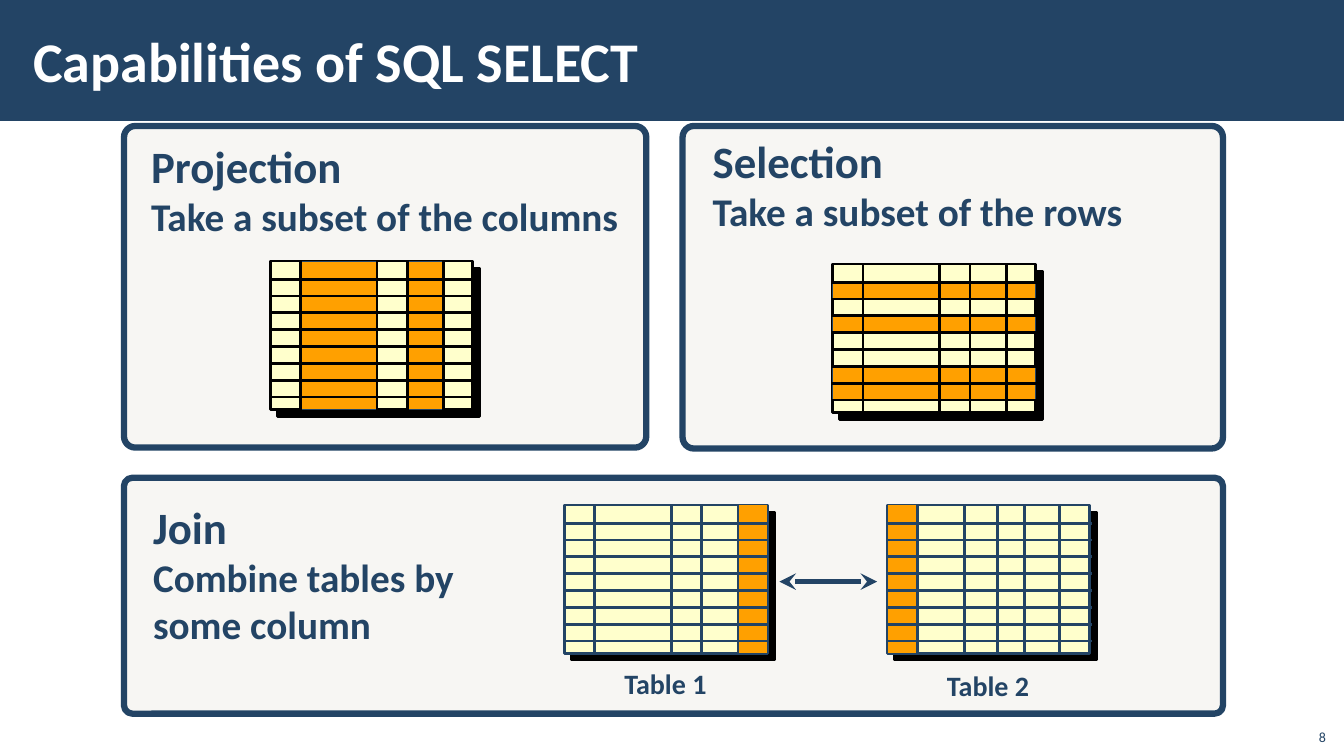
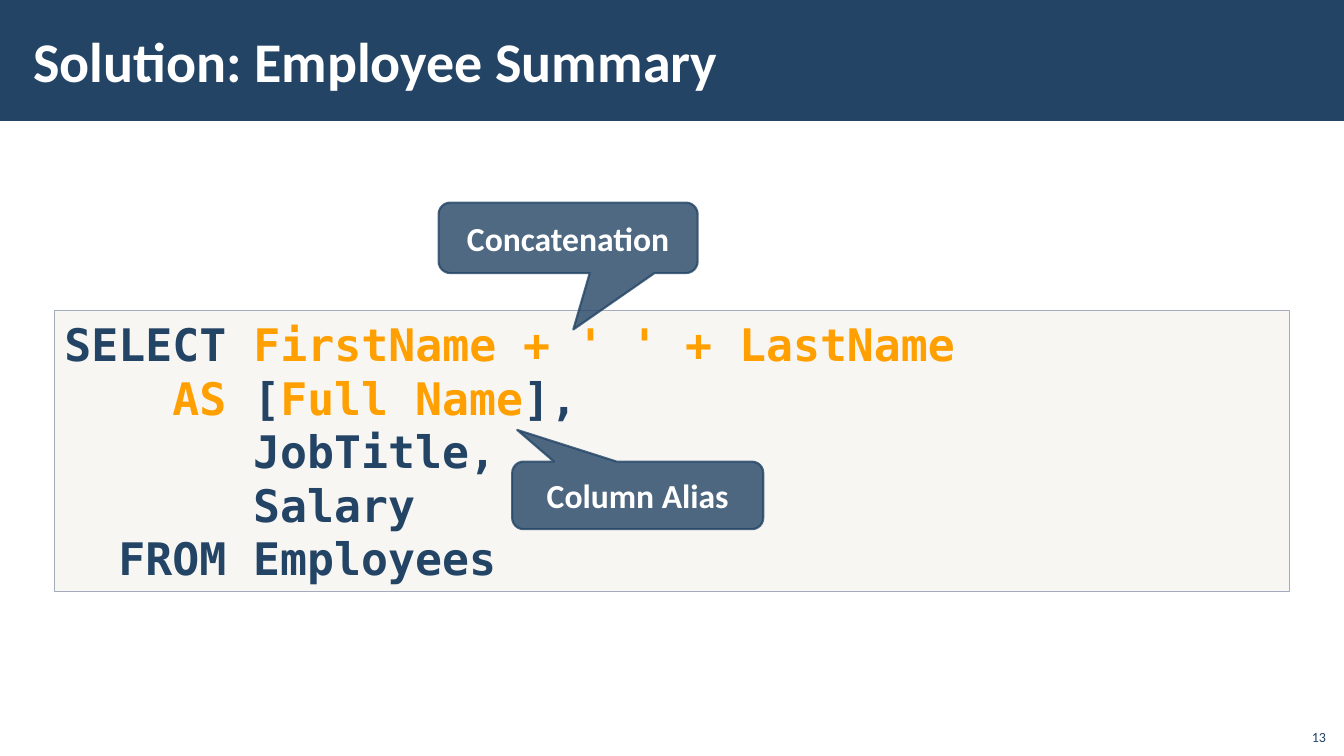
from lxml.etree import SubElement
from pptx import Presentation
from pptx.dml.color import RGBColor
from pptx.enum.shapes import MSO_CONNECTOR, MSO_SHAPE
from pptx.enum.text import MSO_ANCHOR, PP_ALIGN
from pptx.oxml.ns import qn
from pptx.util import Inches, Pt

NAVY = RGBColor(0x23, 0x44, 0x65)
WHITE = RGBColor(0xFF, 0xFF, 0xFF)
BLACK = RGBColor(0, 0, 0)
SAND = RGBColor(0xD9, 0xD5, 0xC7)
CREAM = RGBColor(0xFF, 0xFF, 0xCC)
AMBER = RGBColor(0xFF, 0xA0, 0x00)
GREY = RGBColor(0xA3, 0xAB, 0xBC)

SANS = "Calibri"
MONO = "DejaVu Sans Mono"
CHAR = 0.2675  # width of one code character at 32 points

GRID_W, GRID_H = 2.01, 1.47
ROW_TOP, ROW_STEP, ROWS = 0.18, 0.167, 9
COLS = [0.3, 1.06, 1.36, 1.72]
COLS_TWO = [0.3, 0.77, 1.09, 1.36, 1.71]


def box_of(x, y, w, h):
    return Inches(x), Inches(y), Inches(w), Inches(h)


def fade(part, percent):
    """Make every colour inside the fill or line partly transparent."""
    for color in part.iter(qn("a:srgbClr")):
        SubElement(color, qn("a:alpha"), val=str(percent * 1000))


def add_block(slide, kind, box, fill, line=None, width=1):
    shape = slide.shapes.add_shape(kind, *box_of(*box))
    shape.shadow.inherit = False
    shape.fill.solid()
    shape.fill.fore_color.rgb = fill
    if line is None:
        shape.line.fill.background()
    else:
        shape.line.color.rgb = line
        shape.line.width = Pt(width)
    return shape


def add_line(slide, x1, y1, x2, y2, color, width):
    line = slide.shapes.add_connector(
        MSO_CONNECTOR.STRAIGHT, Inches(x1), Inches(y1), Inches(x2), Inches(y2))
    line.line.color.rgb = color
    line.line.width = Pt(width)
    SubElement(line.element.spPr, qn("a:effectLst"))
    return line


def set_font(item, size, color, bold=True, name=SANS):
    font = item.font
    font.name, font.size, font.bold = name, Pt(size), bold
    font.color.rgb = color


def write(frame, lines, color=NAVY, align=PP_ALIGN.LEFT, bold=True):
    """Fill the frame with one paragraph for each (text, size)."""
    frame.word_wrap = True
    for i, (text, size) in enumerate(lines):
        para = frame.add_paragraph() if i else frame.paragraphs[0]
        para.text = text
        para.alignment = align
        set_font(para, size, color, bold)


def add_text(slide, box, lines, anchor=MSO_ANCHOR.TOP, **style):
    frame = slide.shapes.add_textbox(*box_of(*box)).text_frame
    frame.vertical_anchor = anchor
    write(frame, lines, **style)
    return frame


def add_page(deck, title, number):
    """Add a slide with its title band and page number."""
    slide = deck.slides.add_slide(deck.slide_layouts[6])
    add_block(slide, MSO_SHAPE.RECTANGLE, (0, 0, 13.34, 1.2), NAVY)
    frame = add_text(slide, (0.21, 0.11, 10.63, 0.97), [(title, 40)],
                     MSO_ANCHOR.MIDDLE, color=WHITE)
    frame.margin_left = frame.margin_right = Inches(0.12)
    frame.margin_top = frame.margin_bottom = Inches(0.04)
    add_text(slide, (12.85, 7.12, 0.4, 0.32), [(str(number), 10)],
             MSO_ANCHOR.BOTTOM, align=PP_ALIGN.RIGHT, bold=False)
    return slide


def add_panel(slide, box, shift, width, head, *body):
    """Draw a rounded panel with its text shifted from the corner."""
    panel = add_block(slide, MSO_SHAPE.ROUNDED_RECTANGLE, box, SAND, NAVY, 4.5)
    panel.adjustments[0] = 0.035
    fade(panel.element.spPr.find(qn("a:solidFill")), 20)
    lines = [(head, 32)] + [(text, 28) for text in body]
    place = (box[0] + shift[0], box[1] + shift[1], width, 0.1 + 0.5 * len(lines))
    add_text(slide, place, lines)


def add_grid(slide, x, y, cols, ink, pick_cols=(), pick_rows=()):
    """Draw a small table sketch with some columns or rows picked out."""
    base = add_block(slide, MSO_SHAPE.RECTANGLE, (x, y, GRID_W, GRID_H),
                     CREAM, ink, 2)
    effects = base.element.spPr.find(qn("a:effectLst"))
    shade = SubElement(effects, qn("a:outerShdw"), dist=str(Pt(7.1)),
                       dir="2700000", algn="ctr", rotWithShape="0")
    SubElement(shade, qn("a:srgbClr"), val=str(BLACK))

    rows = [ROW_TOP + ROW_STEP * i for i in range(ROWS - 1)]
    x_ends = [0, *cols, GRID_W]
    y_ends = [0, *rows, GRID_H]
    bands = [(x + x_ends[i], y, x_ends[i + 1] - x_ends[i], GRID_H)
             for i in pick_cols]
    bands += [(x, y + y_ends[i], GRID_W, y_ends[i + 1] - y_ends[i])
              for i in pick_rows]
    for band in bands:
        add_block(slide, MSO_SHAPE.RECTANGLE, band, AMBER, NAVY, 0.75)

    for dx in cols:
        add_line(slide, x + dx, y - 0.01, x + dx, y + GRID_H + 0.02, ink, 2)
    for dy in rows:
        add_line(slide, x - 0.01, y + dy, x + GRID_W + 0.02, y + dy, ink, 2)


def add_join(slide, x, y):
    """Draw two named grids with a double arrow between them."""
    gap = 3.2
    add_grid(slide, x, y, COLS, NAVY, pick_cols=[4])
    add_grid(slide, x + gap, y, COLS_TWO, NAVY, pick_cols=[0])
    arrow = add_line(slide, x + 2.13, y + 0.76, x + 3.1, y + 0.76, NAVY, 4)
    stroke = arrow.line._get_or_add_ln()
    for end in ("a:headEnd", "a:tailEnd"):
        SubElement(stroke, qn(end), type="stealth")
    for i in range(2):
        add_text(slide, (x + gap * i, y + 1.55 + 0.02 * i, 2, 0.44),
                 [(f"Table {i + 1}", 20)], align=PP_ALIGN.CENTER)


def add_code(slide, box, lines):
    """Write code lines, each given as (indent, [(text, color), ...])."""
    block = add_block(slide, MSO_SHAPE.RECTANGLE, box, SAND, GREY, 1)
    fade(block.element.spPr.find(qn("a:solidFill")), 20)
    frame = block.text_frame
    frame.word_wrap = True
    for i, (indent, parts) in enumerate(lines):
        para = frame.add_paragraph() if i else frame.paragraphs[0]
        para.alignment = PP_ALIGN.LEFT
        para.line_spacing = Pt(38.2)
        props = para._p.get_or_add_pPr()
        props.set("marL", str(Inches(indent * CHAR)))
        props.set("indent", "0")
        for text, color in parts:
            run = para.add_run()
            run.text = text
            set_font(run, 32, color, name=MONO)


def add_callout(slide, box, text, tip):
    shape = add_block(slide, MSO_SHAPE.ROUNDED_RECTANGULAR_CALLOUT, box,
                      NAVY, NAVY, 1.5)
    shape.adjustments[0], shape.adjustments[1] = tip
    fade(shape.element.spPr, 80)
    shape.text_frame.vertical_anchor = MSO_ANCHOR.MIDDLE
    write(shape.text_frame, [(text, 24)], WHITE, PP_ALIGN.CENTER)


def build_select(deck):
    slide = add_page(deck, "Capabilities of SQL SELECT", 8)
    add_panel(slide, (6.77, 1.25, 5.36, 3.2), (0.2, 0.03), 4.9,
              "Selection", "Take a subset of the rows")
    add_grid(slide, 8.26, 2.62, COLS, BLACK, pick_rows=[1, 3, 6, 7])
    add_panel(slide, (1.23, 1.25, 5.18, 3.19), (0.17, 0.08), 5,
              "Projection", "Take a subset of the columns")
    add_grid(slide, 2.68, 2.59, COLS, BLACK, pick_cols=[1, 3])
    add_panel(slide, (1.23, 4.74, 10.9, 2.34), (0.19, 0.17), 3.6,
              "Join", "Combine tables by", "some column")
    add_join(slide, 5.6, 5.01)


def build_answer(deck):
    slide = add_page(deck, "Solution: Employee Summary", 13)
    add_code(slide, (0.54, 3.08, 12.25, 2.79), [
        (0, [("SELECT", NAVY), (" FirstName + ' ' + LastName", AMBER)]),
        (4, [("AS ", AMBER), ("[", NAVY), ("Full Name", AMBER), ("],", NAVY)]),
        (7, [("JobTitle,", NAVY)]),
        (7, [("Salary", NAVY)]),
        (2, [("FROM Employees", NAVY)]),
    ])
    add_callout(slide, (4.35, 2.01, 2.57, 0.7), "Concatenation", (0.02, 1.3))
    add_callout(slide, (5.08, 4.58, 2.49, 0.67), "Column Alias", (-0.48, -0.97))


def main():
    deck = Presentation()
    deck.slide_width, deck.slide_height = Inches(13.33), Inches(7.5)
    build_select(deck)
    build_answer(deck)
    deck.save("out.pptx")


if __name__ == "__main__":
    main()
